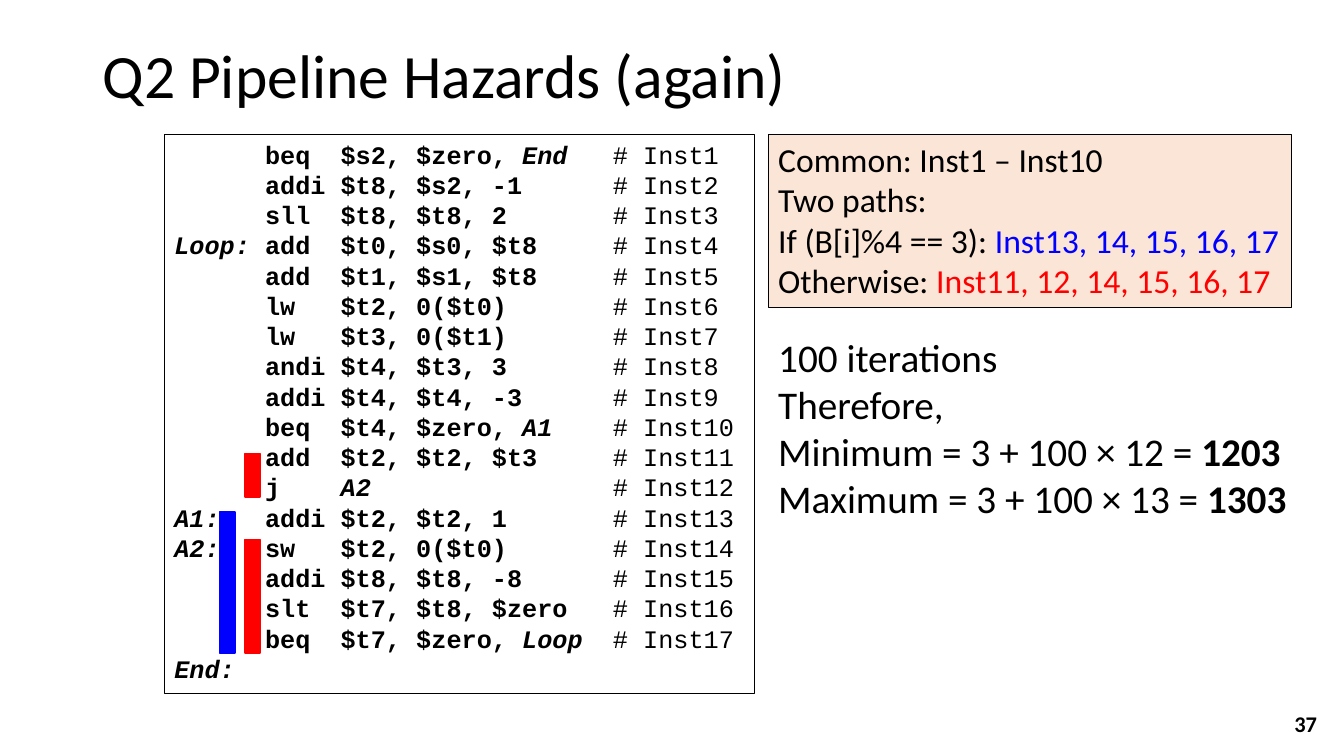
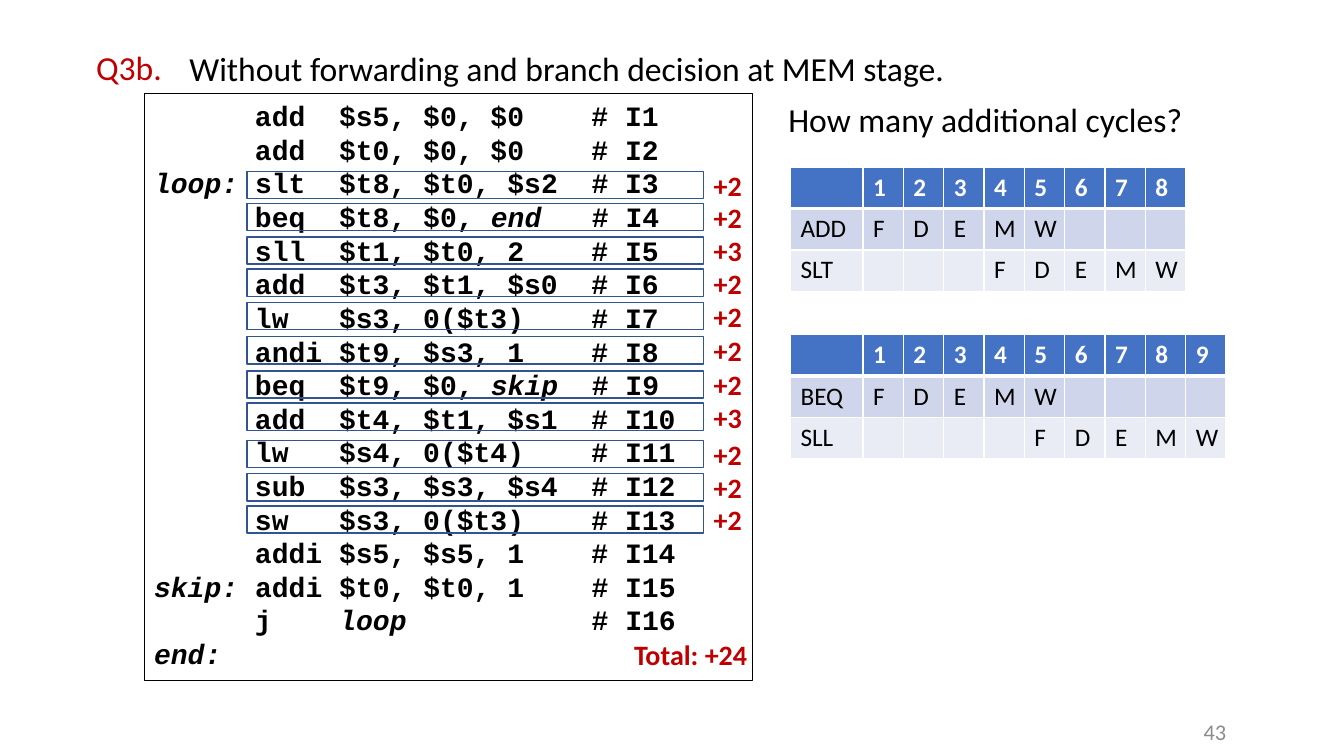
from lxml import etree
from pptx import Presentation
from pptx import util as u
from pptx.dml.color import RGBColor
from pptx.enum import shapes, text
from pptx.oxml import ns

PX = 9144
BLACK = RGBColor(0x00, 0x00, 0x00)
WHITE = RGBColor(0xFF, 0xFF, 0xFF)
BLUE = RGBColor(0x00, 0x00, 0xFF)
RED = RGBColor(0xFF, 0x00, 0x00)
CRIMSON = RGBColor(0xC0, 0x00, 0x00)
GRAY = RGBColor(0x8C, 0x8C, 0x8C)
PEACH = RGBColor(0xFB, 0xE5, 0xD6)
NAVY = RGBColor(0x32, 0x54, 0x91)
HEADER = RGBColor(0x44, 0x72, 0xC4)
BANDS = (RGBColor(0xCF, 0xD5, 0xEA), RGBColor(0xE9, 0xEB, 0xF5))

HAZARD_CODE = """\
      beq  $s2, $zero, _End_   # Inst1
      addi $t8, $s2, -1      # Inst2
      sll  $t8, $t8, 2       # Inst3
_Loop:_ add  $t0, $s0, $t8     # Inst4
      add  $t1, $s1, $t8     # Inst5
      lw   $t2, 0($t0)       # Inst6
      lw   $t3, 0($t1)       # Inst7
      andi $t4, $t3, 3       # Inst8
      addi $t4, $t4, -3      # Inst9
      beq  $t4, $zero, _A1_    # Inst10
      add  $t2, $t2, $t3     # Inst11
      j    _A2_                # Inst12
_A1:_   addi $t2, $t2, 1       # Inst13
_A2:_   sw   $t2, 0($t0)       # Inst14
      addi $t8, $t8, -8      # Inst15
      slt  $t7, $t8, $zero   # Inst16
      beq  $t7, $zero, _Loop_  # Inst17
_End:_"""

CYCLE_CODE = """\
      add  $s5, $0, $0    # I1
      add  $t0, $0, $0    # I2
_loop:_ slt  $t8, $t0, $s2  # I3
      beq  $t8, $0, _end_   # I4
      sll  $t1, $t0, 2    # I5
      add  $t3, $t1, $s0  # I6
      lw   $s3, 0($t3)    # I7
      andi $t9, $s3, 1    # I8
      beq  $t9, $0, _skip_  # I9
      add  $t4, $t1, $s1  # I10
      lw   $s4, 0($t4)    # I11
      sub  $s3, $s3, $s4  # I12
      sw   $s3, 0($t3)    # I13
      addi $s5, $s5, 1    # I14
_skip:_ addi $t0, $t0, 1    # I15
      j    _loop_           # I16
_end:_"""

DELAYS = ((170, 2), (202, 2), (235, 3), (267, 2), (300, 2), (334, 2),
          (368, 2), (400, 3), (437, 2), (470, 2), (502, 2))


def add_run(p, value, size=24, color=BLACK, bold=False, italic=False, name="Calibri"):
    """Append one formatted run to a paragraph."""
    r = p.add_run()
    r.text = value
    r.font.size = u.Pt(size)
    r.font.color.rgb = color
    r.font.bold = bold
    r.font.italic = italic
    r.font.name = name


class Deck:
    """Hold the presentation, its style and the current slide."""

    def __init__(self):
        self.prs = Presentation()
        self.prs.slide_width = 1333 * PX
        self.prs.slide_height = 750 * PX

    def new_slide(self):
        """Start a blank slide."""
        self.s = self.prs.slides.add_slide(self.prs.slide_layouts[6])

    def rect(self, *at, fill=None, line=BLACK, width=0.75):
        """Draw a rectangle given left, top, width and height."""
        sp = self.s.shapes.add_shape(shapes.MSO_SHAPE.RECTANGLE, *(v * PX for v in at))
        sp.shadow.inherit = False
        if fill is None:
            sp.fill.background()
        else:
            sp.fill.solid()
            sp.fill.fore_color.rgb = fill
        sp.line.color.rgb = line
        sp.line.width = u.Pt(width)
        return sp

    def set_lines(self, sp, lines, align=text.PP_ALIGN.LEFT, anchor=text.MSO_ANCHOR.TOP,
                  size=24, spacing=None, **fmt):
        """Fill a shape with lines, each a list of (text, format) runs."""
        tf = sp.text_frame
        tf.word_wrap = True
        tf.vertical_anchor = anchor
        if align == text.PP_ALIGN.LEFT:
            tf.margin_right = 0
        for i, runs in enumerate(lines):
            p = tf.add_paragraph() if i else tf.paragraphs[0]
            p.alignment = align
            p.line_spacing = spacing or u.Pt(size * 1.2)
            for value, extra in runs:
                add_run(p, value, **{"size": size, **fmt, **extra})

    def label(self, value, *at, **fmt):
        """Put text, or a list of lines, in a plain box."""
        sp = self.s.shapes.add_textbox(*(v * PX for v in at))
        lines = [[(value, {})]] if isinstance(value, str) else value
        self.set_lines(sp, lines, **fmt)

    def number(self, value, *at, **fmt):
        """Add the slide number."""
        self.label(value, *at, size=16, align=text.PP_ALIGN.RIGHT,
                   anchor=text.MSO_ANCHOR.MIDDLE, **fmt)

    def code(self, source, *at, size, bold_notes):
        """Show a framed listing whose underscores enclose italics."""
        lines = []
        for line in source.splitlines():
            body, mark, note = line.partition("#")
            runs = [(part, {"italic": i % 2 == 1})
                    for i, part in enumerate(body.split("_")) if part]
            if mark:
                runs.append((mark + note, {"bold": bold_notes}))
            lines.append(runs)
        self.set_lines(self.rect(*at), lines, size=size, bold=True, name="Courier New")

    def cell(self, cell, value, fill, edges, **fmt):
        """Style one table cell with white borders."""
        tcPr = cell._tc.get_or_add_tcPr()
        for side, width in zip("LRTB", edges):
            ln = etree.SubElement(tcPr, ns.qn("a:ln" + side), w=str(int(u.Pt(width))))
            solid = etree.SubElement(ln, ns.qn("a:solidFill"))
            etree.SubElement(solid, ns.qn("a:srgbClr"), val=str(WHITE))
        cell.fill.solid()
        cell.fill.fore_color.rgb = fill
        if value:
            add_run(cell.text_frame.paragraphs[0], value, size=18, **fmt)

    def pipeline(self, first, second, delay, left, top):
        """Tabulate two instructions, the second starting after a delay."""
        stages = list("FDEMW")
        gap = [""] * delay
        cycles = len(stages) + delay
        rows = ([""] + [str(n + 1) for n in range(cycles)],
                [first] + stages + gap,
                [second] + gap + stages)
        at = (left, top, 72 + 40 * cycles, 41 * len(rows))
        tbl = self.s.shapes.add_table(len(rows), cycles + 1, *(v * PX for v in at)).table
        for j, col in enumerate(tbl.columns):
            col.width = (40 if j else 72) * PX
        for i, row in enumerate(rows):
            edges = (1, 1, 3 if i == 1 else 1, 1 if i else 3)
            for j, value in enumerate(row):
                self.cell(tbl.cell(i, j), value, BANDS[i - 1] if i else HEADER, edges,
                          color=BLACK if i else WHITE, bold=i == 0)


def hazards(deck):
    """Build the slide that counts executed instructions."""
    deck.new_slide()
    deck.number("37", 1016, 698, 300, 40, bold=True)
    deck.code(HAZARD_CODE, 163, 133, 585, 555, size=18, bold_notes=False)
    deck.set_lines(deck.rect(762, 133, 519, 172, fill=PEACH), [
        [("Common: Inst1 – Inst10", {})],
        [("Two paths:", {})],
        [("If (B[i]%4 == 3): ", {}), ("Inst13, 14, 15, 16, 17", {"color": BLUE})],
        [("Otherwise: ", {}), ("Inst11, 12, 14, 15, 16, 17", {"color": RED})],
    ])
    for left, top, height, color in ((218, 508, 140, BLUE), (243, 450, 43, RED),
                                     (243, 535, 113, RED)):
        deck.rect(left, top, 15, height, fill=color, line=color, width=1)
    deck.label([
        [("100 iterations", {})],
        [("Therefore,", {})],
        [("Minimum = 3 + 100 × 12 = ", {}), ("1203", {"bold": True})],
        [("Maximum = 3 + 100 × 13 = ", {}), ("1303", {"bold": True})],
    ], 762, 326, 542, 199, size=28)
    deck.label("Q2 Pipeline Hazards (again)", 92, 40, 1150, 145, size=44, spacing=0.9)


def extra_cycles(deck):
    """Build the slide that counts additional cycles."""
    deck.new_slide()
    deck.label("Q3b.", 78, 42, 100, 50, color=CRIMSON, align=text.PP_ALIGN.CENTER)
    deck.number("43", 1083, 706, 143, 40, color=GRAY)
    deck.code(CYCLE_CODE, 143, 93, 603, 582, size=20, bold_notes=True)
    deck.label("Without forwarding and branch decision at MEM stage.", 178, 43, 821, 50)
    deck.label("How many additional cycles?", 772, 93, 440, 50)
    tally = {"size": 20, "color": CRIMSON, "bold": True}
    for top, delay in DELAYS:
        deck.rect(245, top, 453, 27, line=NAVY, width=1)
        deck.label(f"+{delay}", 698, top - 8, 48, 44, **tally)
    total = sum(delay for _, delay in DELAYS)
    deck.label(f"Total: +{total}", 619, 628, 154, 44, **tally)
    deck.pipeline("ADD", "SLT", 3, 784, 166)
    deck.pipeline("BEQ", "SLL", 4, 784, 332)


def main():
    """Build and save both slides."""
    deck = Deck()
    hazards(deck)
    extra_cycles(deck)
    deck.prs.save("out.pptx")


if __name__ == "__main__":
    main()
